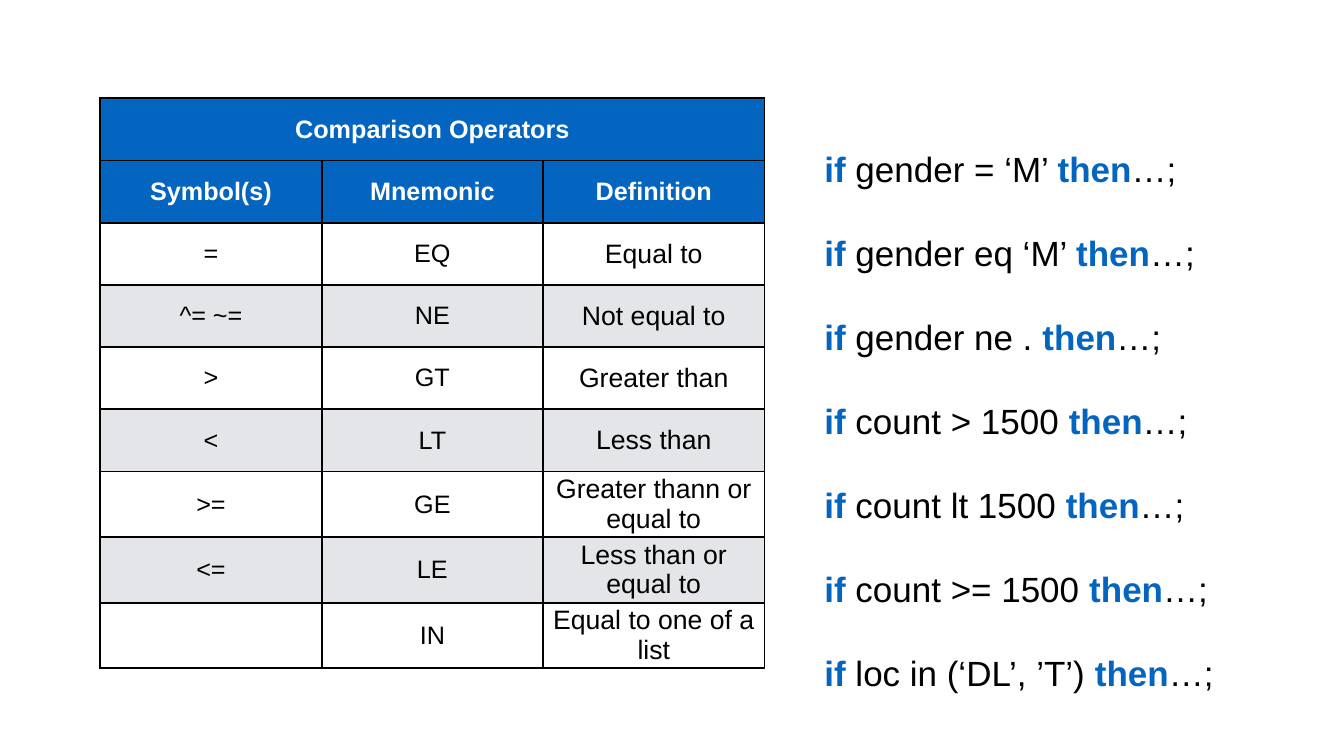
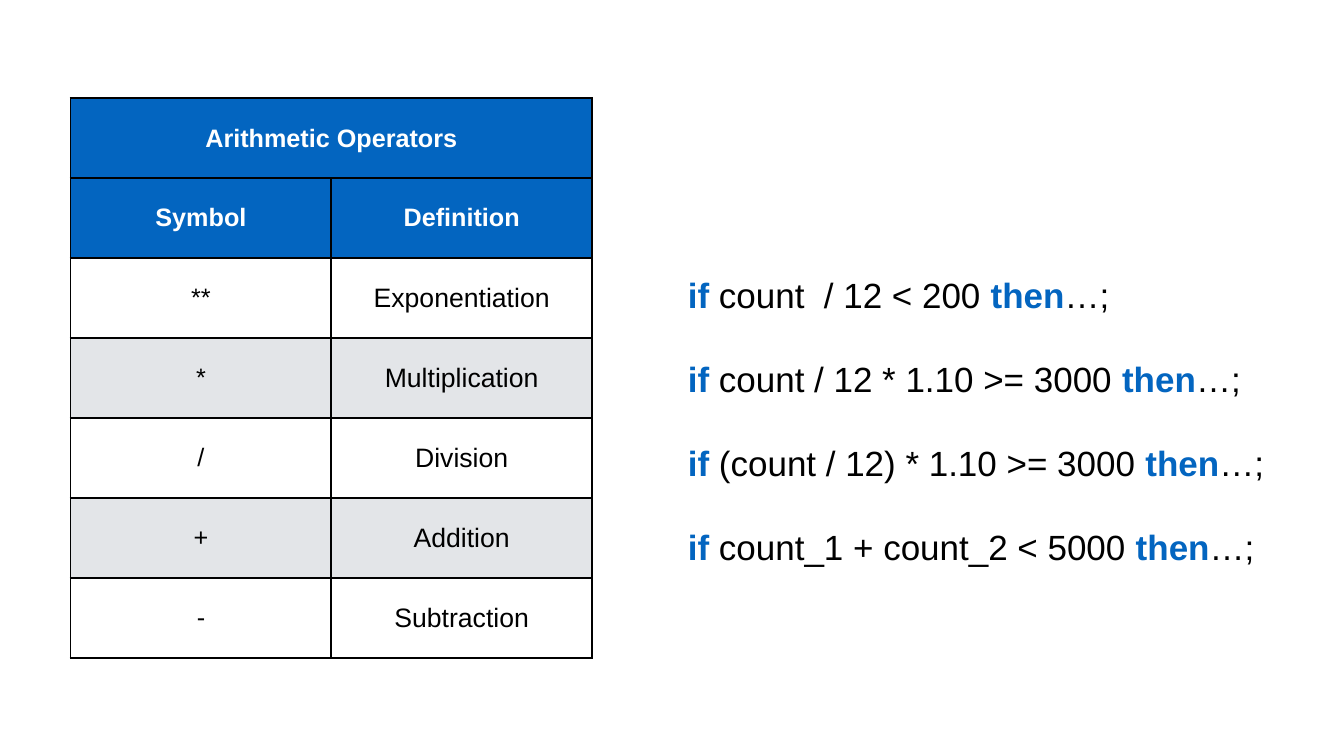
from lxml import etree
from pptx import Presentation
from pptx.dml.color import RGBColor
from pptx.enum import text
from pptx.oxml import ns
from pptx.util import Inches, Pt

FONT = "Arial"
BLUE, GREY, WHITE, BLACK = "0365C0", "E3E5E8", "FFFFFF", "000000"
INSET = Inches(0.06)
BORDER = Pt(3)
TABLE_TOP, TABLE_HEIGHT = 1.95, 11.11

COMPARISONS = [
    ("Comparison Operators",),
    ("Symbol(s)", "Mnemonic", "Definition"),
    ("=", "EQ", "Equal to"),
    ("^= ~=", "NE", "Not equal to"),
    (">", "GT", "Greater than"),
    ("<", "LT", "Less than"),
    (">=", "GE", "Greater thann or equal to"),
    ("<=", "LE", "Less than or equal to"),
    ("", "IN", "Equal to one of a list"),
]
COMPARISON_CONDITIONS = [
    "gender = ‘M’", "gender eq ‘M’", "gender ne .", "count > 1500",
    "count lt 1500", "count >= 1500", "loc in (‘DL’, ’T’)",
]
ARITHMETIC = [
    ("Arithmetic Operators",),
    ("Symbol", "Definition"),
    ("**", "Exponentiation"),
    ("*", "Multiplication"),
    ("/", "Division"),
    ("+", "Addition"),
    ("-", "Subtraction"),
]
ARITHMETIC_CONDITIONS = [
    "count  / 12 < 200", "count / 12 * 1.10 >= 3000",
    "(count / 12) * 1.10 >= 3000", "count_1 + count_2 < 5000",
]


def style_font(font, size, color, bold):
    """Set the shared typeface with a size, hex colour and weight."""
    font.name, font.size, font.bold = FONT, Pt(size), bold
    font.color.rgb = RGBColor.from_string(color)


def set_insets(target):
    """Give a cell or text frame the shared narrow margins."""
    target.margin_left = target.margin_right = INSET
    target.margin_top = target.margin_bottom = INSET


def outline_cell(cell):
    """Draw a black rule on all four sides of a cell."""
    properties = cell._tc.get_or_add_tcPr()
    for position, side in enumerate(("lnL", "lnR", "lnT", "lnB")):
        rule = etree.Element(ns.qn(f"a:{side}"), w=str(BORDER))
        fill = etree.SubElement(rule, ns.qn("a:solidFill"))
        etree.SubElement(fill, ns.qn("a:srgbClr"), val=BLACK)
        properties.insert(position, rule)


def fill_cell(cell, wording, fill, size, color, bold):
    """Write and format one table cell."""
    cell.fill.solid()
    cell.fill.fore_color.rgb = RGBColor.from_string(fill)
    set_insets(cell)
    cell.vertical_anchor = text.MSO_ANCHOR.MIDDLE
    outline_cell(cell)
    cell.text = wording
    paragraph = cell.text_frame.paragraphs[0]
    paragraph.alignment = text.PP_ALIGN.CENTER
    style_font(paragraph.font, size, color, bold)


def add_operator_table(slide, operators, left, width):
    """Add a table with a heading row, a column row and banded operators."""
    columns = len(operators[1])
    table = slide.shapes.add_table(
        len(operators), columns, Inches(left), Inches(TABLE_TOP),
        Inches(width), Inches(TABLE_HEIGHT)).table
    table.cell(0, 0).merge(table.cell(0, columns - 1))
    for row, entries in enumerate(operators):
        header = row < 2
        fill = BLUE if header else (WHITE, GREY)[row % 2]
        for column in range(columns):
            wording = entries[column] if column < len(entries) else ""
            size = 38 if not header and column == columns - 1 else 36
            fill_cell(table.cell(row, column), wording, fill, size,
                      WHITE if header else BLACK, header)


def add_conditions(slide, conditions, left, top, width, height):
    """List if-then statements with their keywords in bold blue."""
    frame = slide.shapes.add_textbox(
        Inches(left), Inches(top), Inches(width), Inches(height)).text_frame
    frame.word_wrap = False
    frame.auto_size = text.MSO_AUTO_SIZE.SHAPE_TO_FIT_TEXT
    set_insets(frame)
    for index, condition in enumerate(conditions):
        paragraph = frame.add_paragraph() if index else frame.paragraphs[0]
        paragraph.line_spacing = 2.0
        for part in ("if", f" {condition} ", "then", "…;"):
            run = paragraph.add_run()
            run.text = part
            keyword = part in ("if", "then")
            style_font(run.font, 50, BLUE if keyword else BLACK, keyword)


def add_operator_slide(deck, operators, table_span, conditions, conditions_box):
    """Add a slide pairing an operator table with example conditions."""
    slide = deck.slides.add_slide(deck.slide_layouts[6])
    add_operator_table(slide, operators, *table_span)
    add_conditions(slide, conditions, *conditions_box)


def main():
    """Build both operator slides and save the deck."""
    deck = Presentation()
    deck.slide_width, deck.slide_height = Inches(26.67), Inches(15)
    add_operator_slide(deck, COMPARISONS, (1.99, 13.18),
                       COMPARISON_CONDITIONS, (16.3, 2.03, 8.07, 10.94))
    add_operator_slide(deck, ARITHMETIC, (1.4, 10.35),
                       ARITHMETIC_CONDITIONS, (13.59, 4.53, 11.89, 5.94))
    deck.save("out.pptx")


if __name__ == "__main__":
    main()
